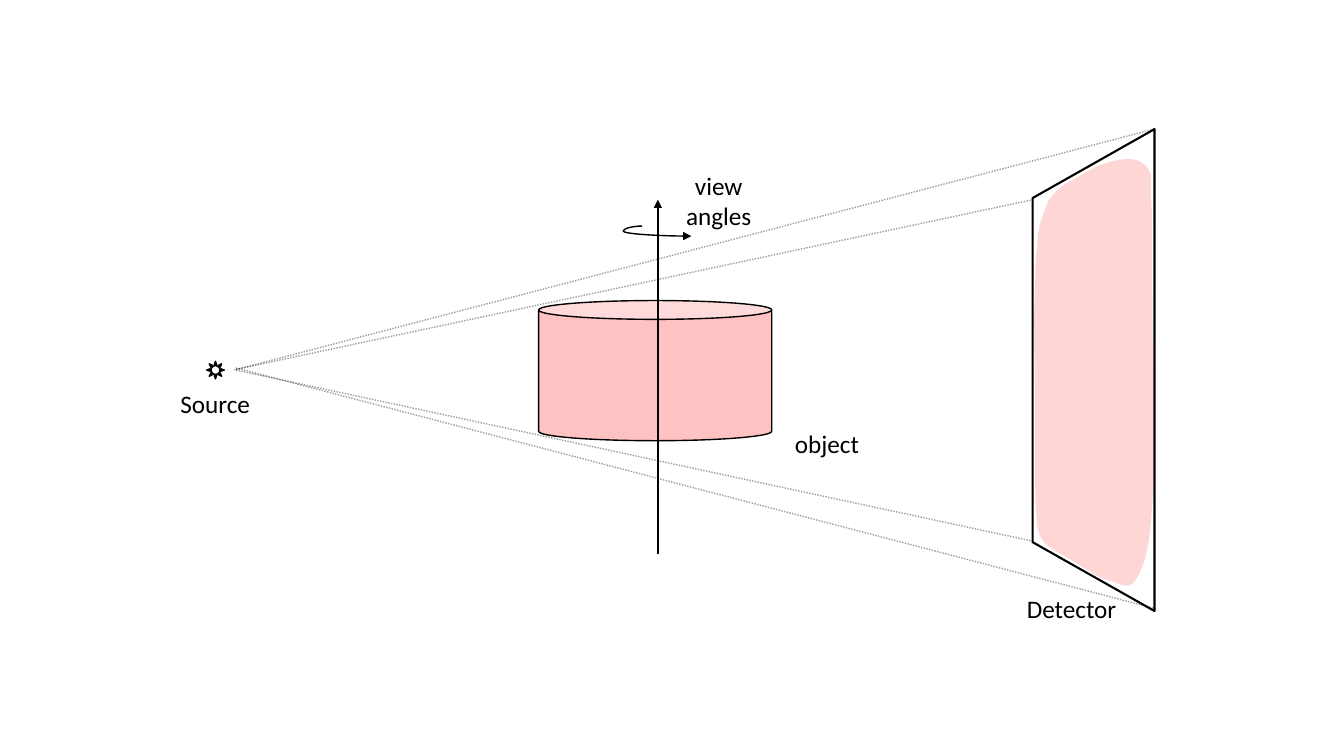
from lxml import etree
from pptx import Presentation
from pptx.dml.color import RGBColor
from pptx.enum.dml import MSO_LINE
from pptx.enum.shapes import MSO_CONNECTOR, MSO_SHAPE
from pptx.enum.text import MSO_AUTO_SIZE, PP_ALIGN
from pptx.oxml.ns import qn
from pptx.util import Pt

BLACK = RGBColor(0, 0, 0)
RED = RGBColor(255, 0, 0)

# Content: lengths in points
LABELS = [  # text, left, top, width, height
    ("Source", 114.5, 273.6, 78.5, 29),
    ("Detector", 719.3, 420.5, 92.2, 29),
    ("object", 551.5, 302.4, 78.5, 29),
    ("view angles", 481, 118.1, 64.8, 51),
]
RAYS = [  # detector corner, source end
    ((738, 142.6), (167, 264.2)),
    ((738, 386.6), (167.8, 264.2)),
    ((824.4, 92.2), (167.8, 264.2)),
    ((825.8, 434.9), (168.5, 262.8)),
]
ROTATION_AXIS = ((469.9, 395.5), (469.9, 142.6))
ROTATION_ARROW = ((458.6, 161.5), (493.9, 168.7))
PROJECTION_START = (739.4, 285.1)
PROJECTION_CURVES = [  # two control points and an end point
    ((739.4, 268.6), (738.7, 244.1), (738.7, 225.4)),
    ((739.4, 207.4), (739.4, 186.5), (740.9, 175)),
    ((741.6, 162.7), (743, 159.1), (745.2, 153.4)),
    ((747.4, 146.9), (748.8, 141.8), (753.1, 138.2)),
    ((756.7, 133.9), (761, 131), (766.8, 128.2)),
    ((773.3, 124.6), (780.5, 119.5), (787.7, 117.4)),
    ((794.9, 114.5), (803.5, 113), (809.3, 113.8)),
    ((814.3, 114.5), (818.6, 117.4), (820.8, 121.7)),
    ((823, 126), (822.2, 126.7), (822.2, 139)),
    ((823, 151.9), (823, 159.8), (823, 197.3)),
    ((823, 234), (825.1, 324.7), (823, 361.4)),
    ((820.8, 397.4), (816.5, 404.6), (811.4, 414)),
    ((806.4, 422.6), (799.2, 416.2), (792, 414.7)),
    ((784.8, 412.6), (774.7, 406.1), (766.8, 401)),
    ((759.6, 396.7), (749.5, 391.7), (745.2, 386.6)),
    ((740.9, 380.9), (740.9, 376.6), (740.2, 366.5)),
    ((739.4, 356.4), (739.4, 339.8), (739.4, 325.4)),
    ((739.4, 311.8), (739.4, 301.7), (739.4, 285.1)),
]

prs = Presentation()
prs.slide_width, prs.slide_height = Pt(960), Pt(540)
shapes = prs.slides.add_slide(prs.slide_layouts[6]).shapes


def set_alpha(parent, percent):
    color = parent.find(qn("a:solidFill"))[0]
    etree.SubElement(color, qn("a:alpha"), val=str(percent * 1000))


def style(shape, fill_alpha=None, line_width=None):
    shape.shadow.inherit = False
    if fill_alpha is None:
        shape.fill.background()
    else:
        shape.fill.solid()
        shape.fill.fore_color.rgb = RED
        set_alpha(shape.element.spPr, fill_alpha)
    if line_width is None:
        shape.line.fill.background()
    else:
        shape.line.color.rgb = BLACK
        shape.line.width = Pt(line_width)


def add_shape(kind, box, **look):
    shape = shapes.add_shape(kind, *map(Pt, box))
    style(shape, **look)
    return shape


def line_element(connector):
    return connector.element.spPr.find(qn("a:ln"))


def add_line(start, end, kind=MSO_CONNECTOR.STRAIGHT, arrow=False):
    connector = shapes.add_connector(kind, *map(Pt, start + end))
    connector.line.color.rgb = BLACK
    connector.line.width = Pt(1)
    if arrow:
        etree.SubElement(line_element(connector), qn("a:tailEnd"), type="triangle")
    etree.SubElement(connector.element.spPr, qn("a:effectLst"))
    return connector


def add_curved_outline(start, curves):
    builder = shapes.build_freeform(*map(Pt, start))
    builder.add_line_segments([tuple(map(Pt, curve[-1])) for curve in curves], close=True)
    shape = builder.convert_to_shape()
    # Turn each straight segment into a Bezier curve
    segments = list(shape.element.spPr.iter(qn("a:lnTo")))
    for segment, curve in zip(segments, curves):
        bezier = etree.Element(qn("a:cubicBezTo"))
        for x, y in curve:
            etree.SubElement(
                bezier, qn("a:pt"), x=str(Pt(x) - shape.left), y=str(Pt(y) - shape.top)
            )
        segment.getparent().replace(segment, bezier)
    return shape


# Detector and source
detector = add_shape(MSO_SHAPE.TRAPEZOID, (609, 220.8, 344.2, 87.1), line_width=1.5)
detector.adjustments[0] = 0.565
detector.rotation = 270
add_shape(MSO_SHAPE.SUN, (147.6, 258, 12.6, 12.6), line_width=1)

# Rotation arrow, bulging out to the left of its start
rotation = add_line(*ROTATION_ARROW, kind=MSO_CONNECTOR.CURVE, arrow=True)
bend = rotation.element.spPr.find(qn("a:prstGeom")).find(qn("a:avLst"))
etree.SubElement(bend, qn("a:gd"), name="adj1", fmla="val -38100")

# Rays
for corner, source_end in RAYS:
    ray = add_line(corner, source_end)
    ray.line.dash_style = MSO_LINE.ROUND_DOT
    set_alpha(line_element(ray), 39)

# Object and its projection on the detector
cylinder = add_shape(MSO_SHAPE.CAN, (384.7, 214.7, 166.6, 100.1), fill_alpha=24, line_width=1)
cylinder.adjustments[0] = 0.134
projection = add_curved_outline(PROJECTION_START, PROJECTION_CURVES)
style(projection, fill_alpha=16)

# Rotation axis
add_line(*ROTATION_AXIS, arrow=True)

# Labels
for text, *box in LABELS:
    frame = shapes.add_textbox(*map(Pt, box)).text_frame
    frame.word_wrap = True
    frame.auto_size = MSO_AUTO_SIZE.SHAPE_TO_FIT_TEXT
    label = frame.paragraphs[0]
    label.text = text
    label.alignment = PP_ALIGN.CENTER
    label.font.name = "Calibri"
    label.font.size = Pt(18)
    label.font.color.rgb = BLACK

prs.save("out.pptx")
